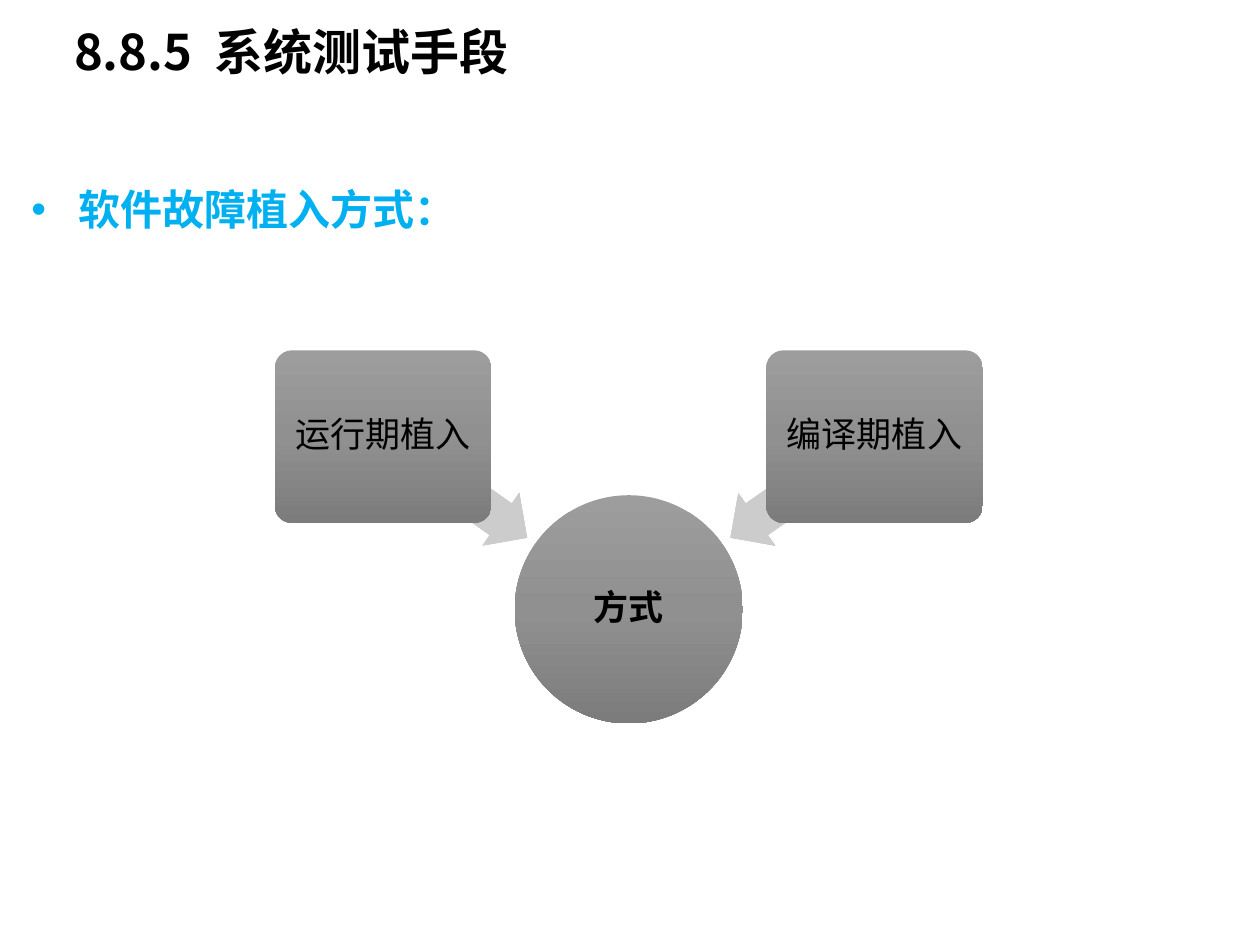
from lxml.etree import SubElement
from pptx import Presentation
from pptx.dml.color import RGBColor
from pptx.enum.shapes import MSO_SHAPE
from pptx.enum.text import MSO_ANCHOR, MSO_AUTO_SIZE, PP_ALIGN
from pptx.oxml.ns import qn
from pptx.util import Pt

FONT = "Noto Sans CJK SC"
HUES = {"ink": "000000", "blue": "00B0F0"}
FADES = {
    "node": ("9D9D9D", "909090", "7C7C7C"),
    "arrow": ("D5D5D5", "CCCCCC", "C5C5C5"),
}
MID = 359.3


def write(frame, text, size=20, hue="ink", bold=False, align=None,
          anchor=MSO_ANCHOR.TOP, inset=None, space=None, hang=0, bullet=None):
    frame.word_wrap = True
    frame.vertical_anchor = anchor
    if inset is not None:
        frame.margin_left = frame.margin_right = Pt(inset)
        frame.margin_top = frame.margin_bottom = Pt(inset)
    para = frame.paragraphs[0]
    para.alignment = align
    para.line_spacing = space
    if hang:
        props = para._p.get_or_add_pPr()
        props.set("marL", str(Pt(hang)))
        props.set("indent", str(-Pt(hang)))
        if bullet:
            SubElement(props, qn("a:buFont")).set("typeface", "Arial")
            SubElement(props, qn("a:buChar")).set("char", bullet)
    run = para.add_run()
    run.text = text
    font = run.font
    font.name, font.size, font.bold = FONT, Pt(size), bold
    font.color.rgb = RGBColor.from_string(HUES[hue])
    props = run._r.get_or_add_rPr()
    SubElement(props, qn("a:ea")).set("typeface", FONT)


def label(slide, text, x, y, wide, high, **form):
    box = slide.shapes.add_textbox(Pt(x), Pt(y), Pt(wide), Pt(high))
    write(box.text_frame, text, **form)
    return box


def shape(slide, kind, x, y, wide, high, fade, adjust=()):
    item = slide.shapes.add_shape(kind, Pt(x), Pt(y), Pt(wide), Pt(high))
    item.shadow.inherit = False
    item.line.fill.background()
    for i, value in enumerate(adjust):
        item.adjustments[i] = value
    item.fill.gradient()
    item.fill.gradient_angle = 270
    stops = item._element.spPr.find(".//" + qn("a:gsLst"))
    stops.clear()
    for i, hue in enumerate(FADES[fade]):
        stop = SubElement(stops, qn("a:gs"), pos=str(i * 50000))
        SubElement(stop, qn("a:srgbClr"), val=hue)
    return item


def node(slide, kind, text, x, y, wide, high, adjust=(), bold=False):
    item = shape(slide, kind, x, y, wide, high, "node", adjust)
    write(item.text_frame, text, bold=bold, align=PP_ALIGN.CENTER,
          anchor=MSO_ANCHOR.MIDDLE, inset=1, space=0.9)


def branch(slide, text, side):
    wide, high = 100.8, 36.7
    arrow = shape(slide, MSO_SHAPE.LEFT_ARROW, MID + side * 99.4 - wide / 2,
                  260, wide, high, "arrow", (0.6, 0.5))
    arrow.rotation = 270 + side * 55
    wide, high = 123.8, 98.6
    node(slide, MSO_SHAPE.ROUNDED_RECTANGLE, text,
         MID + side * 140.4 - wide / 2, 200.2, wide, high, (0.1,))


def main():
    deck = Presentation()
    deck.slide_width, deck.slide_height = Pt(720), Pt(540)
    slide = deck.slides.add_slide(deck.slide_layouts[6])

    label(slide, "8.8.5\t系统测试手段", 35.3, 8.6, 648, 50.4,
          size=28, bold=True, hang=80.5)
    head = label(slide, "软件故障植入方式：", 10.8, 101.5, 336.2, 36,
                 size=24, hue="blue", bold=True, hang=27, bullet="•")
    head.text_frame.auto_size = MSO_AUTO_SIZE.SHAPE_TO_FIT_TEXT

    size = 130.4
    node(slide, MSO_SHAPE.OVAL, "方式", MID - size / 2, 283, size, size,
         bold=True)
    for text, side in (("运行期植入", -1), ("编译期植入", 1)):
        branch(slide, text, side)
    deck.save("out.pptx")


if __name__ == "__main__":
    main()
